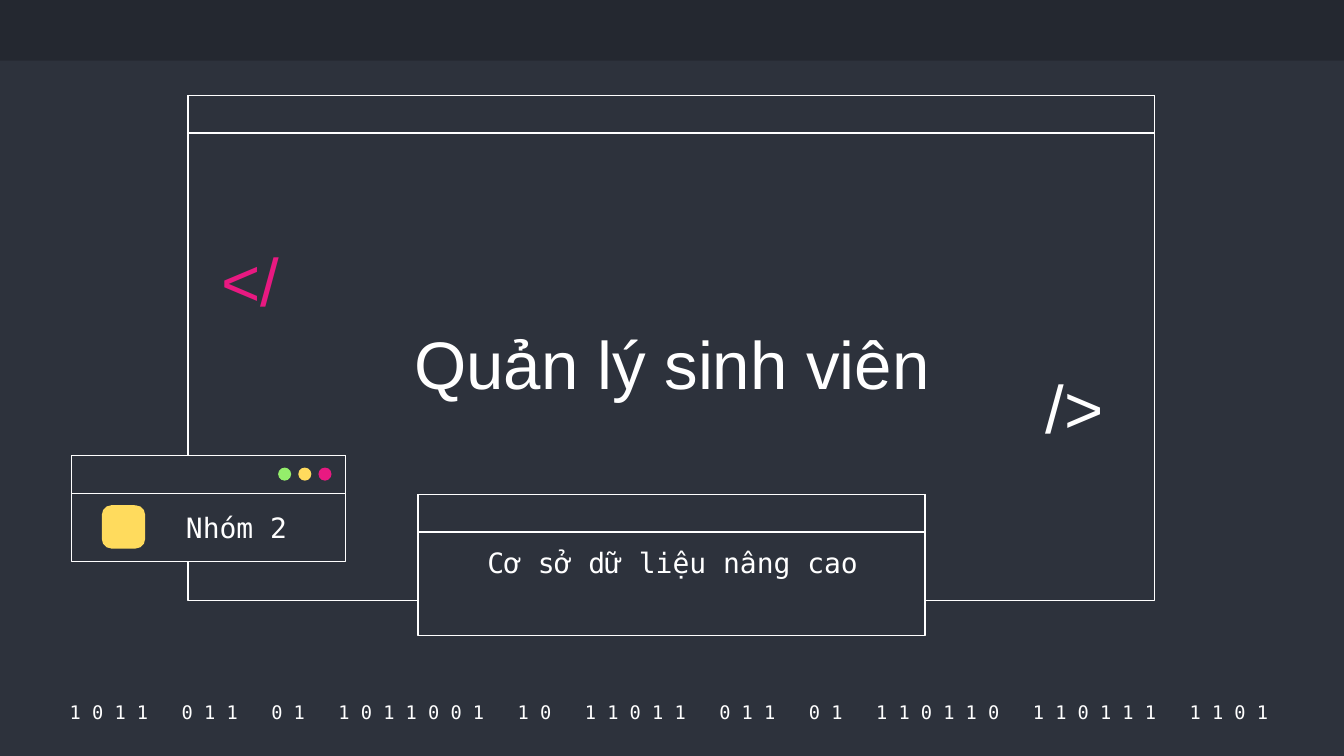
"""Build the title slide of a student management project, styled as code windows."""
import pptx
import pptx.dml.color
import pptx.enum.shapes
import pptx.enum.text
import pptx.util

Pt = pptx.util.Pt
RGBColor = pptx.dml.color.RGBColor
SHAPE = pptx.enum.shapes.MSO_SHAPE
ANCHOR = pptx.enum.text.MSO_ANCHOR
ALIGN = pptx.enum.text.PP_ALIGN

THEME = {
    "background": RGBColor.from_string("2D323C"),
    "banner": RGBColor.from_string("242830"),
    "white": RGBColor.from_string("FFFFFF"),
    "pink": RGBColor.from_string("E81981"),
    "yellow": RGBColor.from_string("FFDB5D"),
    "green": RGBColor.from_string("94EE6B"),
    "sans": "Arial",
    "mono": "DejaVu Sans Mono",
    "title_size": Pt(36),
    "label_size": Pt(15),
    "binary_size": Pt(10),
}


def add_block(kind, left, top, width, height, fill, outlined=False):
    block = slide.shapes.add_shape(kind, Pt(left), Pt(top), Pt(width), Pt(height))
    block.shadow.inherit = False
    block.fill.solid()
    block.fill.fore_color.rgb = THEME[fill]
    if outlined:
        block.line.color.rgb = THEME["white"]
        block.line.width = Pt(0.75)
    else:
        block.line.fill.background()
    return block


def write(holder, box, text, font, size, color="white", align=ALIGN.CENTER,
          anchor=ANCHOR.TOP, spacing=1.0):
    holder.left, holder.top, holder.width, holder.height = [Pt(side) for side in box]
    frame = holder.text_frame
    frame.text = text
    frame.word_wrap = True
    frame.auto_size = pptx.enum.text.MSO_AUTO_SIZE.NONE
    frame.vertical_anchor = anchor
    frame.margin_left = frame.margin_right = Pt(7.2)
    frame.margin_top = frame.margin_bottom = Pt(7.2)
    paragraph = frame.paragraphs[0]
    paragraph.alignment = align
    paragraph.line_spacing = spacing
    paragraph.space_before = Pt(0)
    run_font = paragraph.runs[0].font
    run_font.name = THEME[font]
    run_font.size = THEME[size]
    run_font.color.rgb = THEME[color]


deck = pptx.Presentation()
deck.slide_width, deck.slide_height = Pt(720), Pt(405)
slide = deck.slides.add_slide(deck.slide_layouts[0])
slide.background.fill.solid()
slide.background.fill.fore_color.rgb = THEME["background"]

add_block(SHAPE.RECTANGLE, 0, 0, 720, 32.5, "banner")

binary_words = "1011 011 01 1011001 10 11011 011 01 110110 110111 1101".split()
binary_line = "   ".join(" ".join(word) for word in binary_words)
write(slide.shapes.add_textbox(0, 0, 0, 0), (24.5, 374.4, 667.4, 14.4), binary_line,
      "mono", "binary_size", anchor=ANCHOR.MIDDLE)

title_window = (100.8, 51.1, 517.7, 270.7)
course_window = (223.9, 264.9, 271.6, 75.7)
group_window = (38.2, 244.1, 146.9, 56.6)
for left, top, width, height in (title_window, course_window, group_window):
    for part_height in (height, 20.2):
        add_block(SHAPE.RECTANGLE, left, top, width, part_height, "background", True)

for mark, left, top, color in (("</", 111.6, 128.9, "pink"), ("/>", 553, 196.6, "white")):
    write(slide.shapes.add_textbox(0, 0, 0, 0), (left, top, 55.4, 47.5), mark,
          "sans", "title_size", color, ALIGN.LEFT, ANCHOR.MIDDLE, 0.9)

title = slide.shapes.title
course = slide.placeholders[1]
write(title, (214.6, 123.1, 290.9, 100.8), "Quản lý sinh viên", "sans", "title_size",
      anchor=ANCHOR.BOTTOM, spacing=0.9)
write(course, (240.5, 285.1, 239.8, 56.2), "Cơ sở dữ liệu nâng cao", "mono", "label_size")
for placeholder in (title, course):
    placeholder.element.getparent().append(placeholder.element)

icon = add_block(SHAPE.ROUNDED_RECTANGLE, 54.6, 270.7, 23.2, 23.2, "yellow")
icon.adjustments[0] = 0.22
for position, color in enumerate(("green", "yellow", "pink")):
    add_block(SHAPE.OVAL, 149 + 10.8 * position, 250.5, 7, 7, color)
write(slide.shapes.add_textbox(0, 0, 0, 0), (86.4, 266.4, 80.6, 30.2), "Nhóm 2",
      "mono", "label_size")

deck.save("out.pptx")
